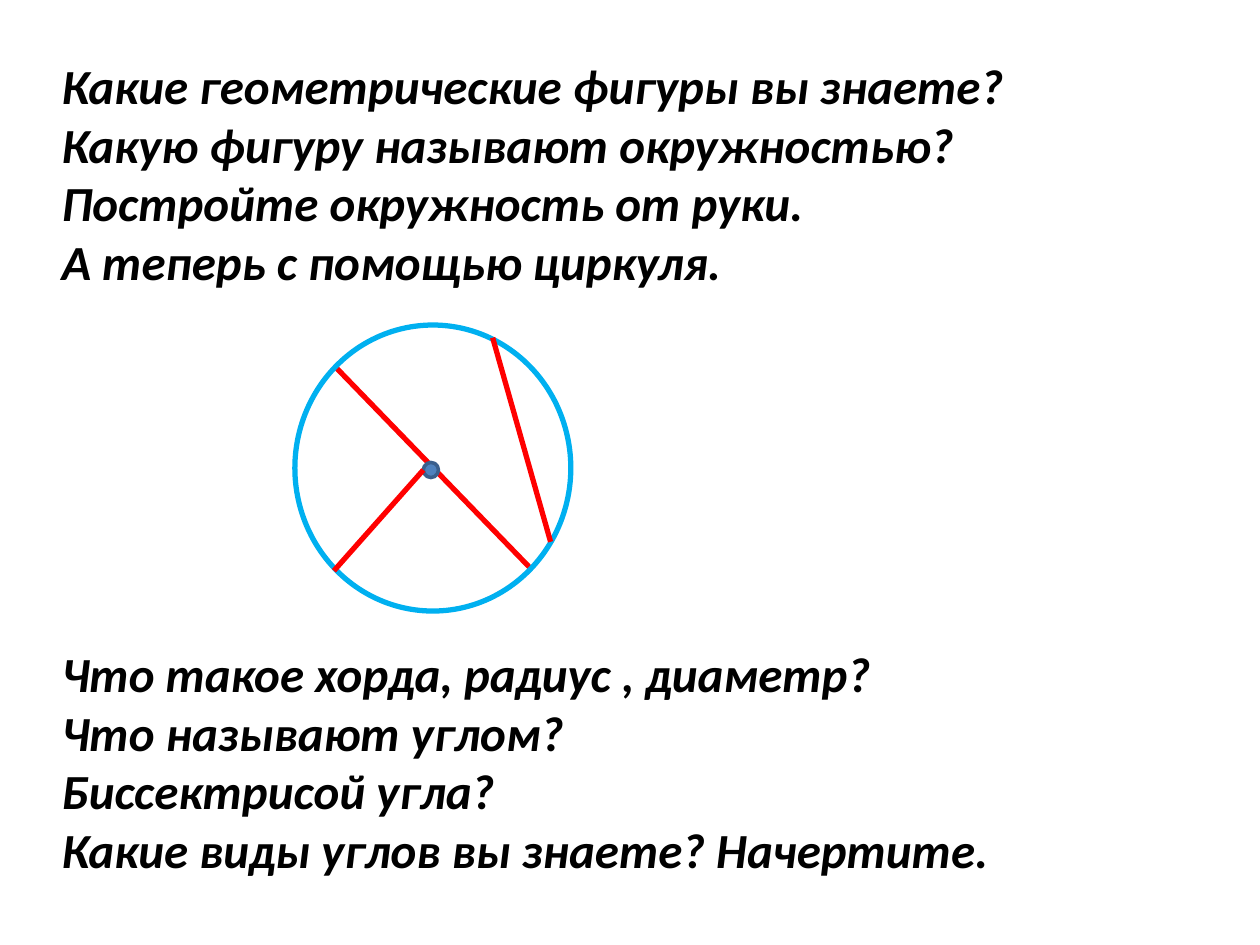
import pptx
import pptx.dml.color
import pptx.enum.shapes
import pptx.enum.text
import pptx.util
from pptx.util import Inches
import lxml.etree

BLACK = pptx.dml.color.RGBColor(0x00, 0x00, 0x00)
RED = pptx.dml.color.RGBColor(0xFF, 0x00, 0x00)
SKY = pptx.dml.color.RGBColor(0x00, 0xB0, 0xF0)
BLUE = pptx.dml.color.RGBColor(0x4F, 0x81, 0xBD)
DARK_BLUE = pptx.dml.color.RGBColor(0x3A, 0x5F, 0x8C)

OPENING_QUESTIONS = [
    "Какие геометрические фигуры вы знаете?",
    "Какую фигуру называют окружностью?",
    "Постройте окружность от руки.",
    "А теперь с помощью циркуля.",
]
CLOSING_QUESTIONS = [
    "Что такое хорда, радиус , диаметр?",
    "Что называют углом?",
    "Биссектрисой угла?",
    "Какие виды углов вы знаете? Начертите.",
]
FIGURE_GAP = pptx.util.Pt(201.5)


def add_segment(slide, start, end):
    segment = slide.shapes.add_connector(
        pptx.enum.shapes.MSO_CONNECTOR.STRAIGHT, *start, *end)
    segment.line.color.rgb = RED
    segment.line.width = pptx.util.Pt(3)
    lxml.etree.SubElement(segment._element.spPr, pptx.oxml.ns.qn("a:effectLst"))


def add_ellipse(slide, left, top, width, height, outline, weight, fill=None):
    ellipse = slide.shapes.add_shape(
        pptx.enum.shapes.MSO_SHAPE.OVAL, left, top, width, height)
    ellipse.shadow.inherit = False
    if fill is None:
        ellipse.fill.background()
    else:
        ellipse.fill.solid()
        ellipse.fill.fore_color.rgb = fill
    ellipse.line.color.rgb = outline
    ellipse.line.width = pptx.util.Pt(weight)


def add_questions(slide, left, top, width, height):
    questions = slide.shapes.add_textbox(left, top, width, height)
    frame = questions.text_frame
    frame.word_wrap = False
    frame.auto_size = pptx.enum.text.MSO_AUTO_SIZE.SHAPE_TO_FIT_TEXT
    frame.text = "\n".join(OPENING_QUESTIONS + CLOSING_QUESTIONS)
    for paragraph in frame.paragraphs:
        for run in paragraph.runs:
            run.font.name = "Calibri"
            run.font.size = pptx.util.Pt(28)
            run.font.bold = True
            run.font.italic = True
            run.font.color.rgb = BLACK
    frame.paragraphs[len(OPENING_QUESTIONS)].space_before = FIGURE_GAP


def add_circle_figure(slide, left, top, width, height):
    def point(x, y):
        return left + Inches(x), top + Inches(y)

    diameter = point(0.32, 0.33), point(1.87, 1.93)
    chord = point(2.03, 1.72), point(1.57, 0.1)
    radius = point(1.02, 1.15), point(0.31, 1.95)

    add_segment(slide, *diameter)
    add_ellipse(slide, left, top, width, height, SKY, 3)
    add_ellipse(slide, *point(1.02, 1.09), Inches(0.12), Inches(0.12),
                DARK_BLUE, 2, BLUE)
    for segment in (chord, radius):
        add_segment(slide, *segment)


def main():
    presentation = pptx.Presentation()
    presentation.slide_width = Inches(10)
    presentation.slide_height = Inches(7.5)
    slide = presentation.slides.add_slide(presentation.slide_layouts[6])
    add_questions(slide, Inches(0.39), Inches(0.39), Inches(7.75), Inches(6.7))
    add_circle_figure(slide, Inches(2.34), Inches(2.58), Inches(2.19), Inches(2.27))
    presentation.save("out.pptx")


if __name__ == "__main__":
    main()
